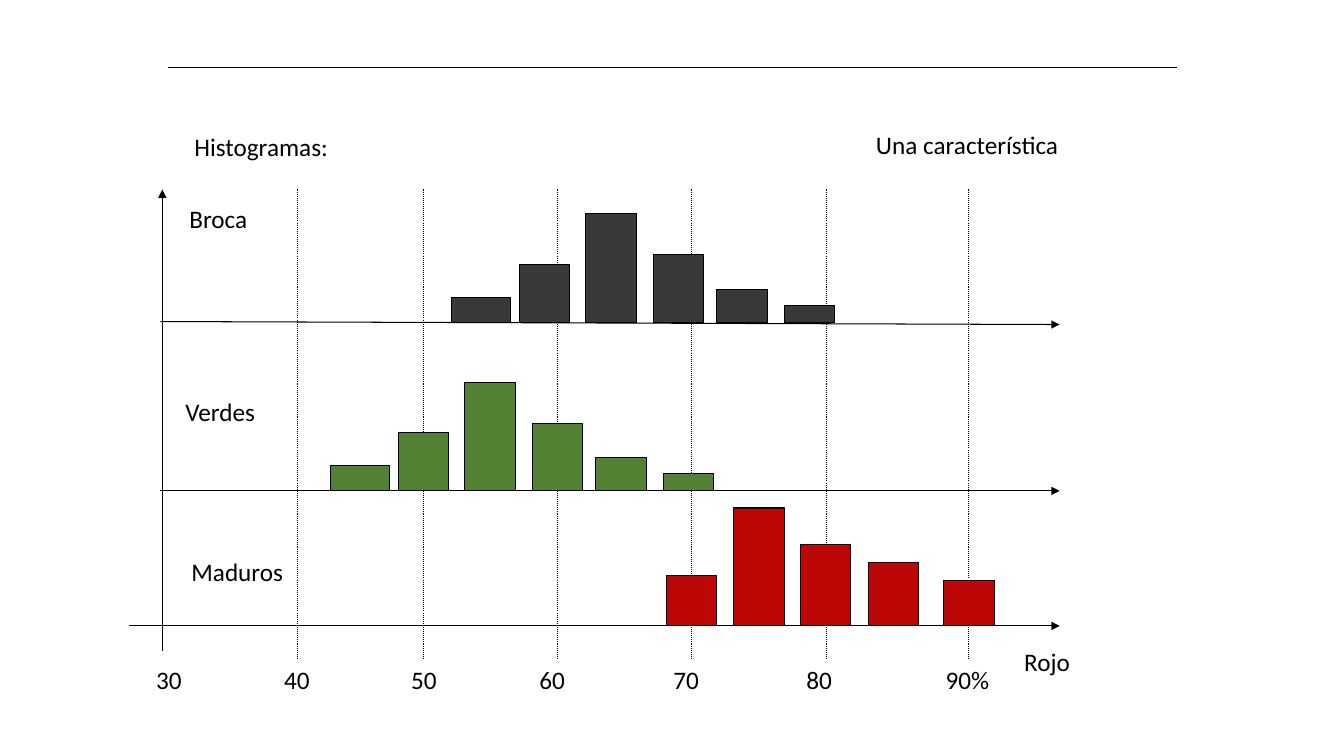
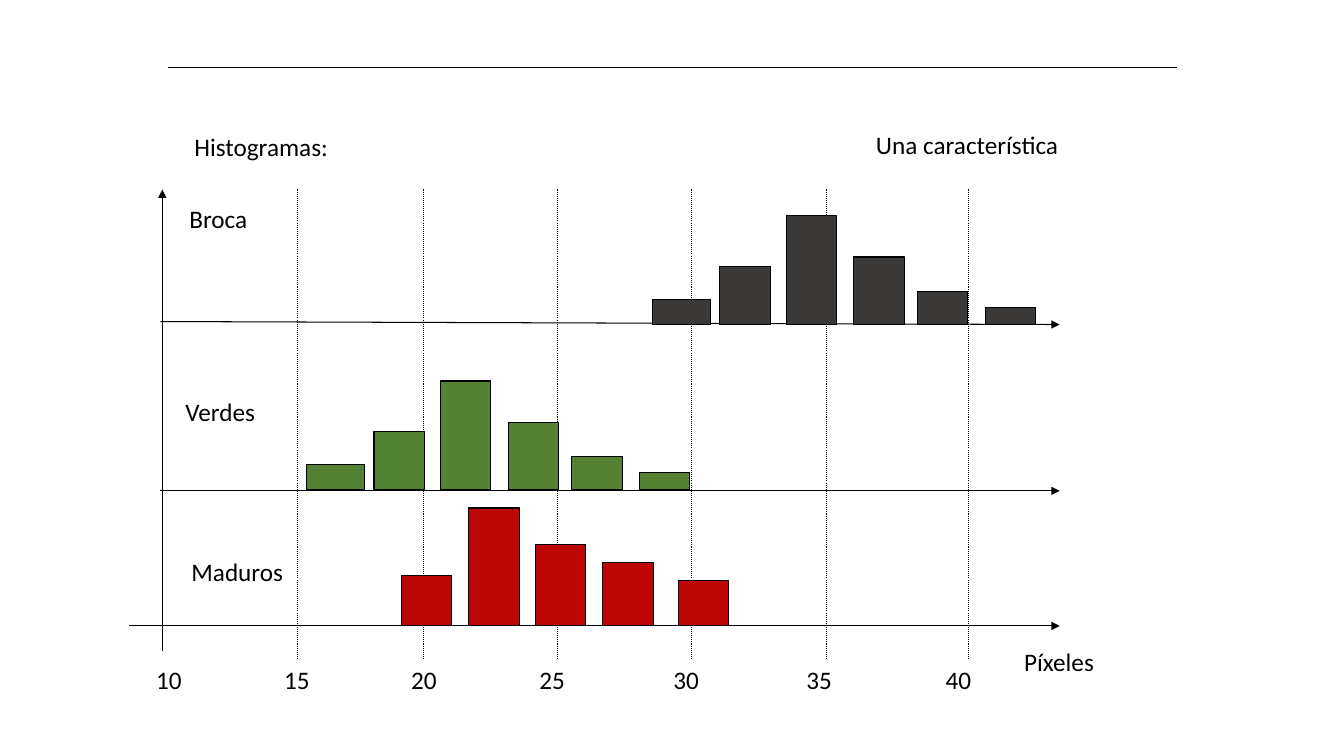
from pptx import Presentation
from pptx.dml.color import RGBColor
from pptx.enum.dml import MSO_LINE_DASH_STYLE as Dash
from pptx.enum.shapes import MSO_CONNECTOR as Connector, MSO_SHAPE as Shape
from pptx.oxml.ns import qn
from pptx.util import Inches, Pt
from lxml.etree import SubElement

BLACK = RGBColor(0x00, 0x00, 0x00)
CHARCOAL = RGBColor(0x3B, 0x38, 0x38)
GREEN = RGBColor(0x54, 0x82, 0x35)
RED = RGBColor(0xBD, 0x07, 0x07)

# Bar profiles as (offset from first bar, width, height)
SKEWED = [(0, 0.58, 0.25), (0.67, 0.5, 0.58), (1.33, 0.5, 1.08),
          (2, 0.5, 0.67), (2.63, 0.5, 0.33), (3.3, 0.5, 0.17)]
RIPE = [(0, 0.5, 0.5), (0.67, 0.5, 1.17), (1.33, 0.5, 0.81),
        (2, 0.5, 0.63), (2.75, 0.5, 0.45)]

GRID_X = [2.95, 4.2, 5.53, 6.86, 8.2, 9.61]
TICK_X = [1.45, 2.72, 3.98, 5.25, 6.58, 7.9, 9.28]

# Text, left, top, width
LABELS = [("Histogramas:", 1.83, 1.25, 1.7),
          ("Una característica", 8.59, 1.23, 2.2),
          ("Broca", 1.78, 1.97, 0.9),
          ("Verdes", 1.74, 3.88, 1),
          ("Maduros", 1.8, 5.47, 1.25)]


def write(frame, text, font="Calibri", size=18, color=BLACK):
    span = frame.paragraphs[0].add_run()
    span.text = text
    span.font.name = font
    span.font.size = Pt(size)
    span.font.color.rgb = color


class Slides:
    """Holds the shared style and the page being drawn."""

    stroke = Pt(0.75)

    def __init__(self):
        self.deck = Presentation()
        self.deck.slide_width = Inches(13.33)
        self.deck.slide_height = Inches(7.5)
        self.page = None

    def new_page(self):
        self.page = self.deck.slides.add_slide(self.deck.slide_layouts[6])

    def label(self, text, left, top, width):
        box = self.page.shapes.add_textbox(
            Inches(left), Inches(top), Inches(width), Inches(0.4))
        box.text_frame.word_wrap = True
        write(box.text_frame, text)

    def line(self, start, end, arrow=False, dash=None):
        rule = self.page.shapes.add_connector(
            Connector.STRAIGHT, *(Inches(value) for value in (*start, *end)))
        rule.line.color.rgb = BLACK
        rule.line.width = self.stroke
        if dash:
            rule.line.dash_style = dash
        if arrow:
            SubElement(rule.line._get_or_add_ln(), qn("a:tailEnd"), type="triangle")
        SubElement(rule._element.spPr, qn("a:effectLst"))

    def bars(self, profile, left, base, color):
        for offset, width, height in profile:
            bar = self.page.shapes.add_shape(
                Shape.RECTANGLE, Inches(left + offset), Inches(base - height),
                Inches(width), Inches(height))
            bar.shadow.inherit = False
            bar.fill.solid()
            bar.fill.fore_color.rgb = color
            bar.line.color.rgb = BLACK
            bar.line.width = self.stroke

    def histogram_page(self, feature, ticks, broca, verdes, maduros):
        """The last three arguments are (left, base) of each bar group."""
        self.new_page()
        self.line((1.67, 0.67), (11.67, 0.67))

        # Axes and grid
        self.line((1.61, 6.46), (1.61, 1.88), arrow=True)
        for start, end in [((1.28, 6.21), (10.51, 6.21)),
                           ((1.59, 4.87), (10.51, 4.87)),
                           ((1.59, 3.19), (10.51, 3.22))]:
            self.line(start, end, arrow=True)
        for x in GRID_X:
            self.line((x, 1.88), (x, 6.54), dash=Dash.ROUND_DOT)

        # Bars
        self.bars(SKEWED, *verdes, GREEN)
        self.bars(RIPE, *maduros, RED)
        self.bars(SKEWED, *broca, CHARCOAL)

        # Headings, row names and scale
        for entry in LABELS:
            self.label(*entry)
        self.label(feature, 10.06, 6.36, 1.1)
        for tick, x in zip(ticks, TICK_X):
            self.label(tick, x, 6.54, 0.75)


def main():
    slides = Slides()
    slides.histogram_page(
        "Rojo", ["30", "40", "50", "60", "70", "80", "90%"],
        broca=(4.48, 3.2), verdes=(3.28, 4.87), maduros=(6.61, 6.21))
    slides.histogram_page(
        "Píxeles", ["10", "15", "20", "25", "30", "35", "40"],
        broca=(6.47, 3.22), verdes=(3.04, 4.86), maduros=(3.98, 6.21))
    slides.deck.save("out.pptx")


if __name__ == "__main__":
    main()
